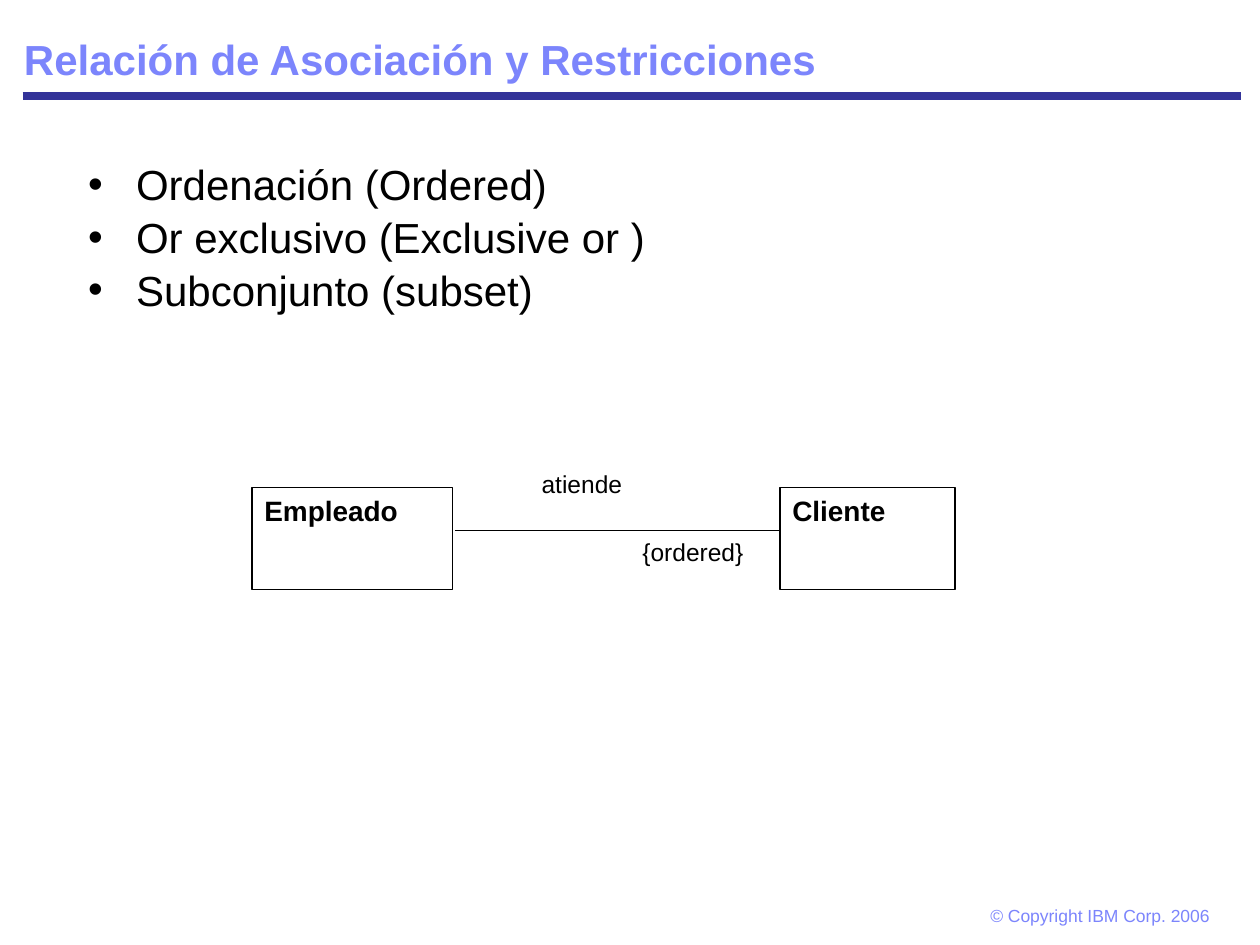
from lxml import etree
from pptx import Presentation
from pptx import util as u
from pptx.dml.color import RGBColor
from pptx.enum import shapes, text
from pptx.oxml.ns import qn

BLACK = RGBColor(0x00, 0x00, 0x00)
WHITE = RGBColor(0xFF, 0xFF, 0xFF)
NAVY = RGBColor(0x33, 0x33, 0x99)
LAVENDER = RGBColor(0x7C, 0x85, 0xFC)

deck = Presentation()
deck.slide_width, deck.slide_height = u.Inches(10), u.Inches(7.5)
page = deck.slides.add_slide(deck.slide_layouts[1])


def write(box, lines, size, color, bold=False, anchor=text.MSO_ANCHOR.TOP):
    frame = box.text_frame
    frame.text = "\n".join(lines)
    frame.word_wrap = True
    frame.auto_size = text.MSO_AUTO_SIZE.NONE
    frame.vertical_anchor = anchor
    for para in frame.paragraphs:
        para.alignment = text.PP_ALIGN.LEFT
        para.font.name, para.font.size = "Arial", u.Pt(size)
        para.font.bold, para.font.color.rgb = bold, color
    return frame


def draw_line(left, right, y, color, width):
    line = page.shapes.add_connector(
        shapes.MSO_CONNECTOR.STRAIGHT,
        u.Inches(left), u.Inches(y), u.Inches(right), u.Inches(y))
    line.line.color.rgb, line.line.width = color, u.Pt(width)
    etree.SubElement(line._element.spPr, qn("a:effectLst"))


# Title and the rule below it
title = page.shapes.title
title.left, title.top = u.Inches(0.09), u.Inches(0.09)
title.width, title.height = u.Inches(9.8), u.Inches(0.63)
frame = write(title, ["Relación de Asociación y Restricciones"], 24, LAVENDER,
              bold=True, anchor=text.MSO_ANCHOR.BOTTOM)
frame.paragraphs[0].line_spacing = 0.9
draw_line(0.18, 9.85, 0.76, NAVY, 4.5)

# Kinds of constraint
body = page.placeholders[1]
body.left, body.top = u.Inches(0.6), u.Inches(1.18)
body.width, body.height = u.Inches(8.8), u.Inches(5.38)
kinds = ["Ordenación (Ordered)", "Or exclusivo (Exclusive or )", "Subconjunto (subset)"]
frame = write(body, kinds, 24, BLACK)
frame.margin_top = u.Inches(0.08)
for para in frame.paragraphs:
    para.space_before = u.Pt(0)
    para.space_after = u.Pt(1.3)
    props = para._p.get_or_add_pPr()
    props.set("marL", str(u.Inches(0.38)))
    props.set("indent", str(-u.Inches(0.38)))
    etree.SubElement(props, qn("a:buChar")).set("char", "•")
    props.append(props.find(qn("a:defRPr")))

# Classes of the diagram
for name, left, width in [("Empleado", 2, 1.59), ("Cliente", 6.19, 1.39)]:
    box = page.shapes.add_shape(
        shapes.MSO_SHAPE.RECTANGLE,
        u.Inches(left), u.Inches(3.87), u.Inches(width), u.Inches(0.81))
    box.shadow.inherit = False
    box.fill.solid()
    box.fill.fore_color.rgb = WHITE
    box.line.color.rgb, box.line.width = BLACK, u.Pt(0.75)
    write(box, [name], 16, BLACK, bold=True)

# Association between the classes
draw_line(3.61, 6.19, 4.21, BLACK, 0.75)

# Association labels and copyright line
labels = [
    ("atiende", 4.2, 3.67, 1.19, 0.54, 14, BLACK, 0.1, 0.05),
    ("{ordered}", 5, 4.21, 1.39, 0.54, 14, BLACK, 0.1, 0.05),
    ("© Copyright IBM Corp. 2006", 7.71, 7.11, 2.04, 0.32, 10, LAVENDER, 0.15, 0.07),
]
for label, left, top, width, height, size, color, side, edge in labels:
    box = page.shapes.add_textbox(
        u.Inches(left), u.Inches(top), u.Inches(width), u.Inches(height))
    frame = write(box, [label], size, color)
    frame.margin_left = frame.margin_right = u.Inches(side)
    frame.margin_top = frame.margin_bottom = u.Inches(edge)
    frame.word_wrap = size != 10

deck.save("out.pptx")
